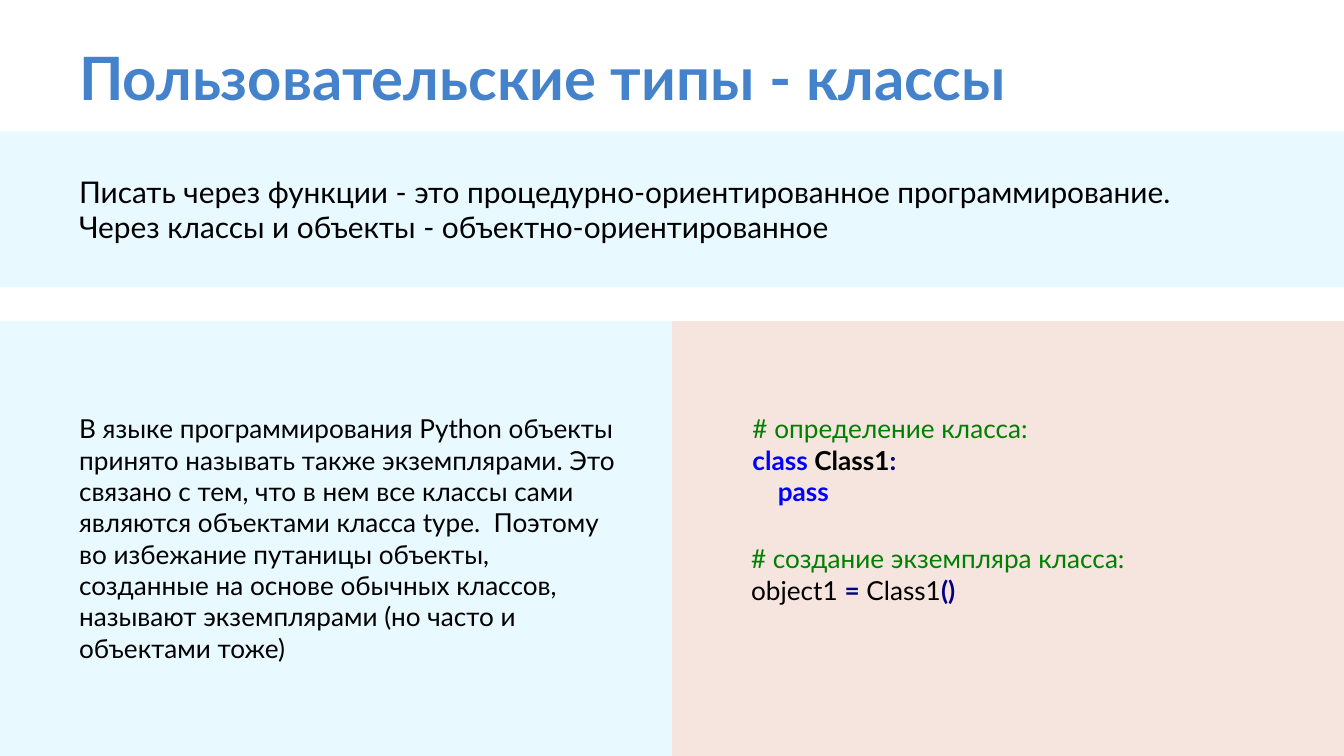
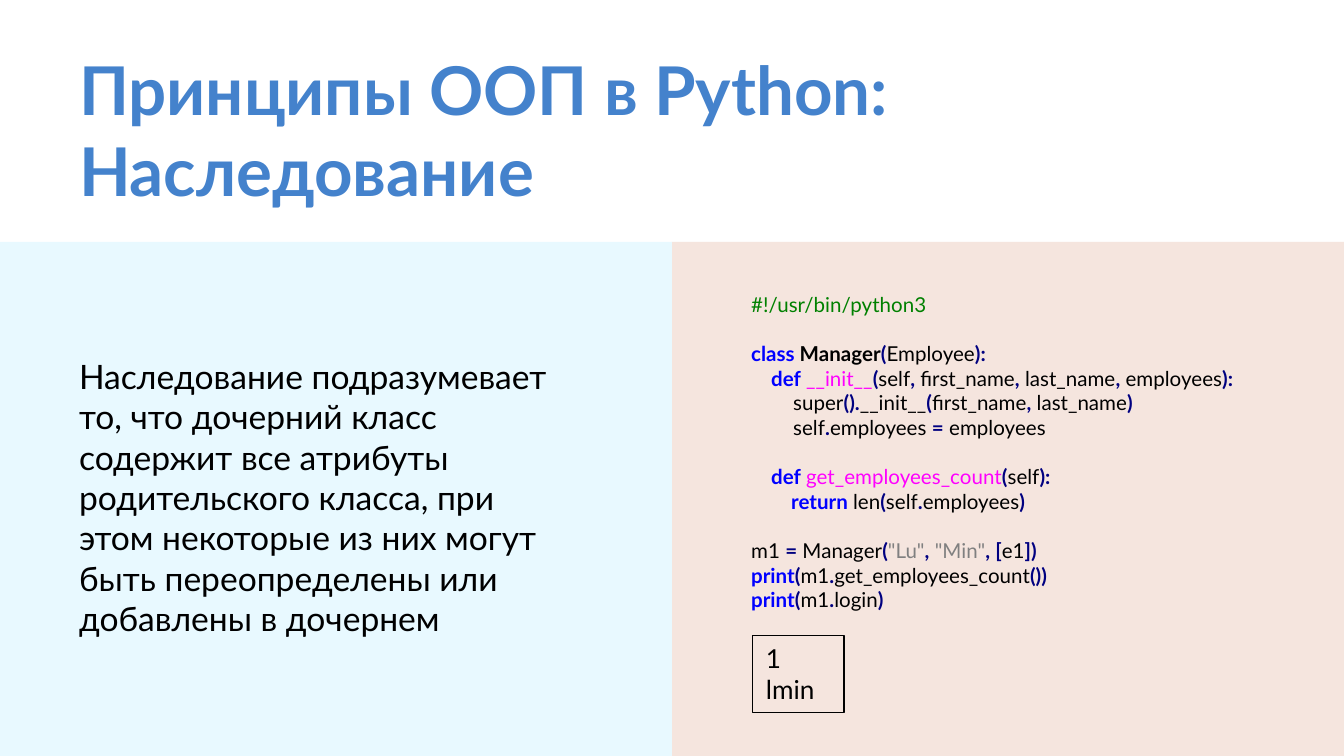
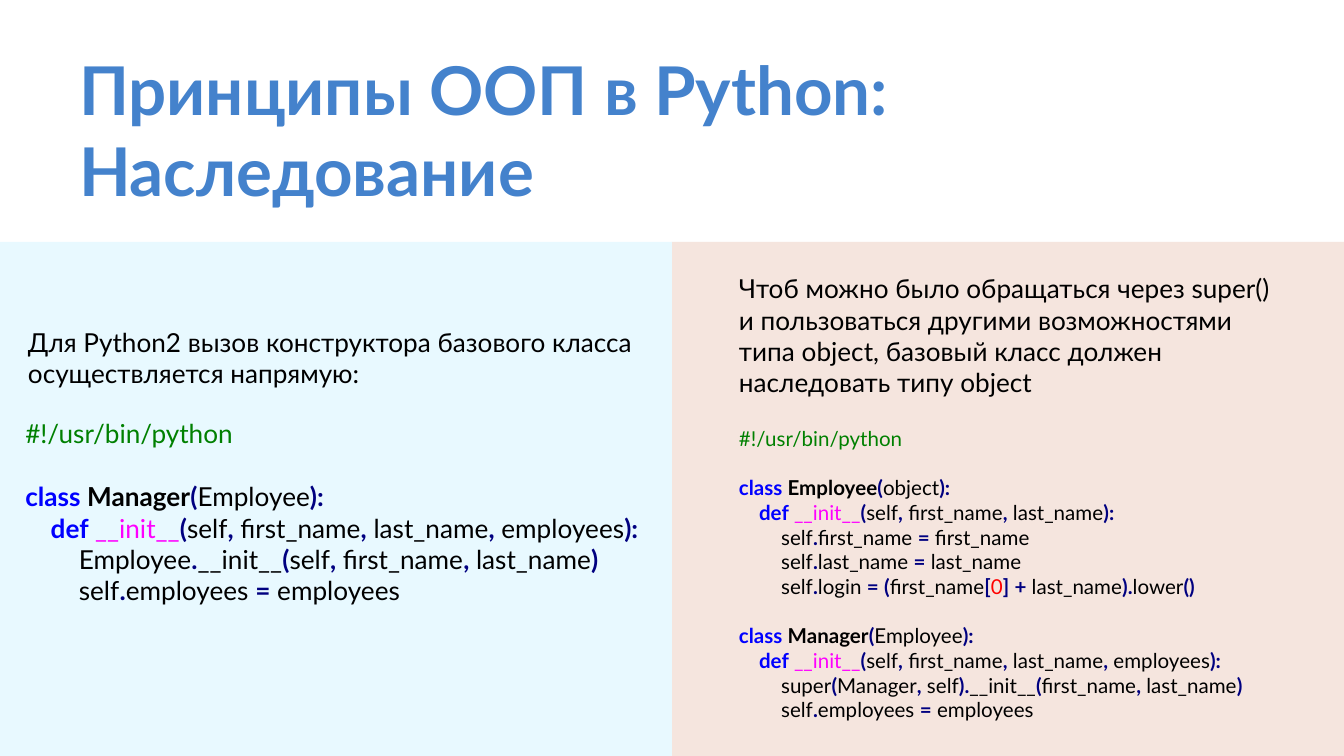
"""Builds three slides on Python classes and inheritance, with highlighted code."""
from itertools import groupby

from pptx import Presentation
from pptx import util as u
from pptx.dml.color import RGBColor
from pptx.enum import shapes, text

WIDTH = u.Inches(10)
HEIGHT = WIDTH * 9 // 16
COLS = 100
ROWS = COLS * 9 / 16
HALF = COLS / 2
MARGIN = 4.9
FONT = "Lato"
LINE_HEIGHT = 1.2

TITLE = RGBColor(0x44, 0x82, 0xCC)
SKY = RGBColor(0xE8, 0xF9, 0xFF)
PEACH = RGBColor(0xF5, 0xE5, 0xDE)
BLACK = RGBColor(0, 0, 0)
COMMENT = RGBColor(0, 0x80, 0)
KEYWORD = RGBColor(0, 0, 0xFF)
OPERATOR = RGBColor(0, 0, 0x80)
FUNCTION = RGBColor(0xFF, 0, 0xFF)
STRING = RGBColor(0x80, 0x80, 0x80)
NUMBER = RGBColor(0xFF, 0, 0)

KEYWORDS = {"class", "def", "pass", "return", "print"}
NAMED = {"class": (BLACK, True), "def": (FUNCTION, False)}

INHERITANCE = "Принципы ООП в Python: Наследование"
MANAGER = """class Manager(Employee):
    def __init__(self, first_name, last_name, employees):
        %s
        self.employees = employees"""

SLIDES = [
    {
        "title": ("Пользовательские типы - классы", 32, (MARGIN, 2, 80, 7.6)),
        "panel_top": 23.9,
        "band": (0, 9.8, COLS, 11.6),
        "prose": [
            ((MARGIN, 12.4, 89.7, 6.4), 16,
             "Писать через функции - это процедурно-ориентированное программирование. "
             "Через классы и объекты - объектно-ориентированное"),
            ((MARGIN, 30.2, 41.9, 19.9), 14,
             "В языке программирования Python объекты принято называть также экземплярами. "
             "Это связано с тем, что в нем все классы сами являются объектами класса type.  "
             "Поэтому во избежание путаницы объекты, созданные на основе обычных классов, "
             "называют экземплярами (но часто и объектами тоже)"),
        ],
        "code": [
            ((55, 30.2, 32.5, 8.1), 14, ["# определение класса:\nclass Class1:\n    pass"]),
            ((54.9, 39.9, 32.6, 5.7), 14,
             ["# создание экземпляра класса:\nobject1 = Class1()"]),
        ],
    },
    {
        "title": (INHERITANCE, 36, (MARGIN, 2.6, 93.7, 7.6)),
        "panel_top": 18,
        "prose": [
            ((MARGIN, 26, 38.8, 22.2), 18,
             "Наследование подразумевает то, что дочерний класс содержит все атрибуты "
             "родительского класса, при этом некоторые из них могут быть переопределены "
             "или добавлены в дочернем"),
        ],
        "code": [
            ((54.9, 21.2, 43.8, 25.1), 11, [
                "#!/usr/bin/python3",
                MANAGER % "super().__init__(first_name, last_name)",
                "    def get_employees_count(self):\n        return len(self.employees)",
                'm1 = Manager("Lu", "Min", [e1])\n'
                "print(m1.get_employees_count())\nprint(m1.login)",
            ]),
        ],
        "output": ((56, 47.3, 6.8, 5.7), 14, "1\nlmin"),
    },
    {
        "title": (INHERITANCE, 36, (MARGIN, 2.6, 93.7, 7.6)),
        "panel_top": 18,
        "prose": [
            ((1.1, 23.8, 53, 5.7), 14,
             "Для Python2 вызов конструктора базового класса осуществляется напрямую:"),
            ((54, 19.8, 41.8, 10.4), 14,
             "Чтоб можно было обращаться через super() и пользоваться другими возможностями "
             "типа object, базовый класс должен наследовать типу object"),
        ],
        "code": [
            ((0.9, 30.6, 49.3, 19.9), 14, [
                "#!/usr/bin/python",
                MANAGER % "Employee.__init__(self, first_name, last_name)",
            ]),
            ((54, 31.2, 41.8, 23.2), 11, [
                "#!/usr/bin/python",
                "class Employee(object):\n"
                "    def __init__(self, first_name, last_name):\n"
                "        self.first_name = first_name\n"
                "        self.last_name = last_name\n"
                "        self.login = (first_name[0] + last_name).lower()",
                MANAGER % "super(Manager, self).__init__(first_name, last_name)",
            ]),
        ],
    },
]


def place(box):
    return [int(v * WIDTH / COLS) for v in box]


def char_kind(c):
    return "space" if c == " " else "word" if c.isalnum() or c == "_" else "operator"


def highlight(line):
    """Yields (text, colour, bold) for each part of a line of code."""
    if line.startswith("#"):
        yield line, COMMENT, False
        return
    previous = ""
    for i, part in enumerate(line.split('"')):
        if i % 2:
            yield f'"{part}"', STRING, False
            continue
        for kind, chars in groupby(part, char_kind):
            token = "".join(chars)
            if kind == "space":
                leading = not previous and line.split()[0] in KEYWORDS
                yield token, BLACK, leading or previous in KEYWORDS
                continue
            if kind == "operator":
                style = OPERATOR, True
            elif token in KEYWORDS:
                style = KEYWORD, True
            elif token.isdigit():
                style = NUMBER, False
            else:
                style = NAMED.get(previous, (BLACK, False))
            yield token, *style
            previous = token


def add_run(p, content, size, color, bold=False):
    r = p.add_run()
    r.text = content
    r.font.color.rgb = color
    for name, value in {"name": FONT, "size": u.Pt(size), "bold": bold}.items():
        setattr(r.font, name, value)


def add_panel(s, box, fill=None):
    sp = s.shapes.add_shape(shapes.MSO_SHAPE.RECTANGLE, *place(box))
    sp.shadow.inherit = False
    if fill is None:
        sp.fill.background()
        sp.line.color.rgb = BLACK
        sp.line.width = u.Pt(0.75)
    else:
        sp.fill.solid()
        sp.fill.fore_color.rgb = fill
        sp.line.fill.background()
    return sp


def write(sp, blocks, size, style):
    """Fills a shape with blocks of lines, one line's height apart."""
    tf = sp.text_frame
    for name, value in {"word_wrap": True, "vertical_anchor": text.MSO_ANCHOR.TOP}.items():
        setattr(tf, name, value)
    p = tf.paragraphs[0]
    for b, block in enumerate(blocks):
        for n, line in enumerate(block.split("\n")):
            if b or n:
                p = tf.add_paragraph()
            p.alignment = text.PP_ALIGN.LEFT
            if b and not n:
                p.space_before = u.Pt(size * LINE_HEIGHT)
            for content, color, bold in style(line):
                add_run(p, content, size, color, bold)
    return tf


def plain(line):
    return [(line, BLACK, False)]


def heading(line):
    return [(line, TITLE, True)]


def build(s, spec):
    top = spec["panel_top"]
    for left, fill in ((HALF, PEACH), (0, SKY)):
        add_panel(s, (left, top, HALF, ROWS - top), fill)
    if "band" in spec:
        add_panel(s, spec["band"], SKY)
    title, size, box = spec["title"]
    tf = write(s.shapes.add_textbox(*place(box)), [title], size, heading)
    tf.margin_top = tf.margin_bottom = u.Inches(0.1)
    for box, size, prose in spec["prose"]:
        write(s.shapes.add_textbox(*place(box)), [prose], size, plain)
    for box, size, blocks in spec["code"]:
        write(s.shapes.add_textbox(*place(box)), blocks, size, highlight)
    if "output" in spec:
        box, size, printed = spec["output"]
        write(add_panel(s, box), [printed], size, plain)


def main():
    prs = Presentation()
    prs.slide_width, prs.slide_height = WIDTH, HEIGHT
    for content in SLIDES:
        build(prs.slides.add_slide(prs.slide_layouts[6]), content)
    prs.save("out.pptx")


if __name__ == "__main__":
    main()
